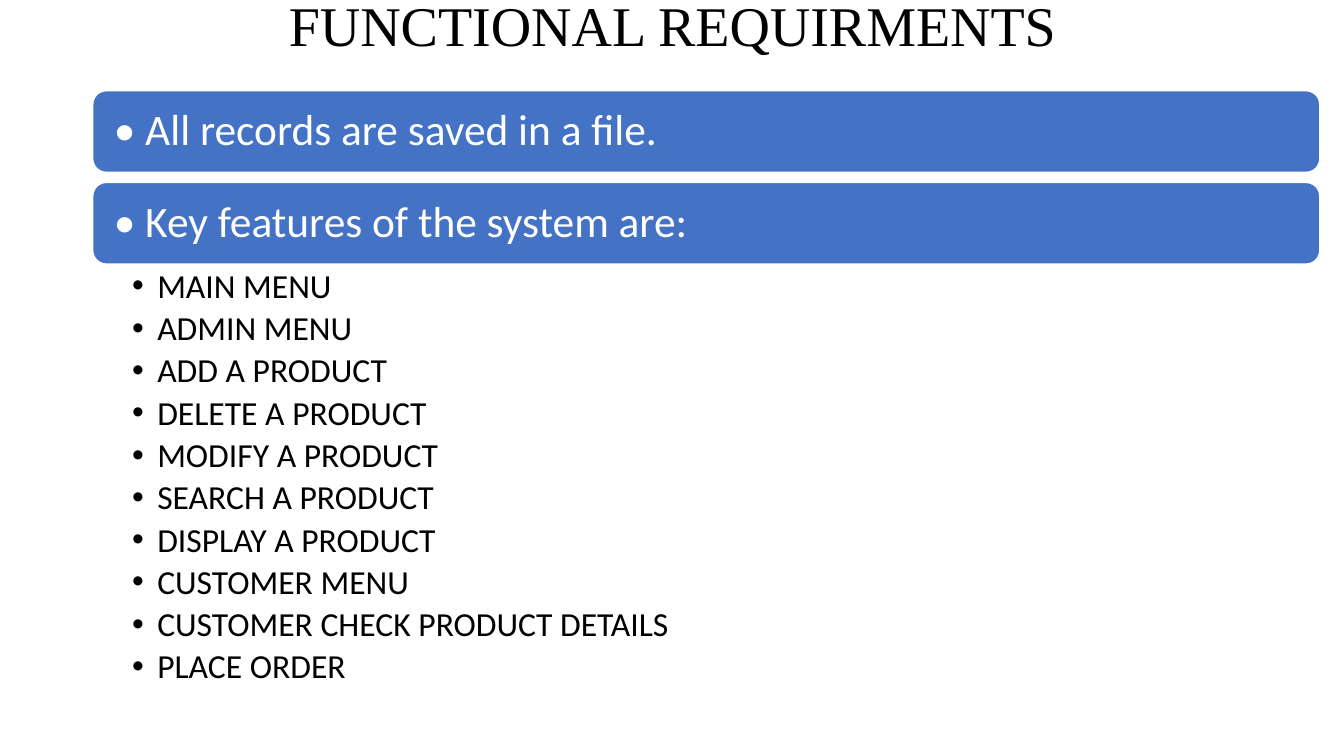
from dataclasses import dataclass
from typing import Any

from lxml import etree
from pptx import Presentation
from pptx import util as u
from pptx.dml.color import RGBColor
from pptx.enum import shapes, text
from pptx.oxml.ns import qn

COLORS = {"bar": "4472C4", "white": "FFFFFF", "ink": "000000"}
STATEMENTS = ["• All records are saved in a file.", "• Key features of the system are:"]
FEATURES = [
    "MAIN MENU",
    "ADMIN MENU",
    "ADD A PRODUCT",
    "DELETE A PRODUCT",
    "MODIFY A PRODUCT",
    "SEARCH A PRODUCT",
    "DISPLAY A PRODUCT",
    "CUSTOMER MENU",
    "CUSTOMER CHECK PRODUCT DETAILS",
    "PLACE ORDER",
]
LEFT, WIDTH = 0.92, 12.17
BAR_TOP, BAR_HEIGHT, BAR_PITCH = 0.9, 0.81, 0.91


def color(name):
    return RGBColor.from_string(COLORS[name])


def add_bullet(paragraph, indent):
    properties = paragraph._p.get_or_add_pPr()
    properties.set("marL", str(u.Inches(indent)))
    properties.set("indent", str(u.Inches(-indent)))
    etree.SubElement(properties, qn("a:buFont")).set("typeface", "Arial")
    etree.SubElement(properties, qn("a:buChar")).set("char", "•")


def write(frame, lines, size, ink="ink", font="Calibri", align=text.PP_ALIGN.LEFT,
          anchor=text.MSO_ANCHOR.MIDDLE, insets=(0.1, 0.05, 0.1, 0.05), after=0, bullet=None):
    frame.word_wrap = True
    frame.auto_size = text.MSO_AUTO_SIZE.NONE
    frame.vertical_anchor = anchor
    frame.margin_left, frame.margin_top, frame.margin_right, frame.margin_bottom = map(u.Inches, insets)
    for index, line in enumerate(lines):
        paragraph = frame.add_paragraph() if index else frame.paragraphs[0]
        paragraph.alignment = align
        paragraph.line_spacing = 0.9
        paragraph.space_before = u.Pt(0)
        paragraph.space_after = u.Pt(after)
        if bullet:
            add_bullet(paragraph, bullet)
        run = paragraph.add_run()
        run.text = line
        run.font.name = font
        run.font.size = u.Pt(size)
        run.font.color.rgb = color(ink)


@dataclass
class SlideBuilder:
    slide: Any
    title_font: str = "Times New Roman"
    title_size: int = 40
    bar_size: int = 31
    list_size: int = 24

    def title(self, line, left, top, width, height):
        shape = self.slide.shapes.title
        shape.left, shape.top, shape.width, shape.height = map(u.Inches, (left, top, width, height))
        write(shape.text_frame, [line], self.title_size, font=self.title_font, align=text.PP_ALIGN.CENTER)

    def bar(self, line, *box):
        shape = self.slide.shapes.add_shape(shapes.MSO_SHAPE.ROUNDED_RECTANGLE, *map(u.Inches, box))
        shape.shadow.inherit = False
        shape.fill.solid()
        shape.fill.fore_color.rgb = color("bar")
        shape.line.color.rgb = color("white")
        shape.line.width = u.Pt(1)
        write(shape.text_frame, [line], self.bar_size, ink="white", insets=(0.17,) * 4)

    def bullets(self, lines, *box):
        shape = self.slide.shapes.add_textbox(*map(u.Inches, box))
        write(shape.text_frame, lines, self.list_size, anchor=text.MSO_ANCHOR.TOP,
              insets=(0.39, 0.04, 0.24, 0.04), after=4.3, bullet=0.25)


def main():
    presentation = Presentation()
    presentation.slide_width = u.Inches(13.33)
    presentation.slide_height = u.Inches(7.5)
    builder = SlideBuilder(presentation.slides.add_slide(presentation.slide_layouts[5]))
    builder.title("FUNCTIONAL REQUIRMENTS", LEFT, -0.17, 11.5, 0.9)
    for index, statement in enumerate(STATEMENTS):
        builder.bar(statement, LEFT, BAR_TOP + index * BAR_PITCH, WIDTH, BAR_HEIGHT)
    builder.bullets(FEATURES, LEFT, 2.63, WIDTH, 4.49)
    presentation.save("out.pptx")


if __name__ == "__main__":
    main()
